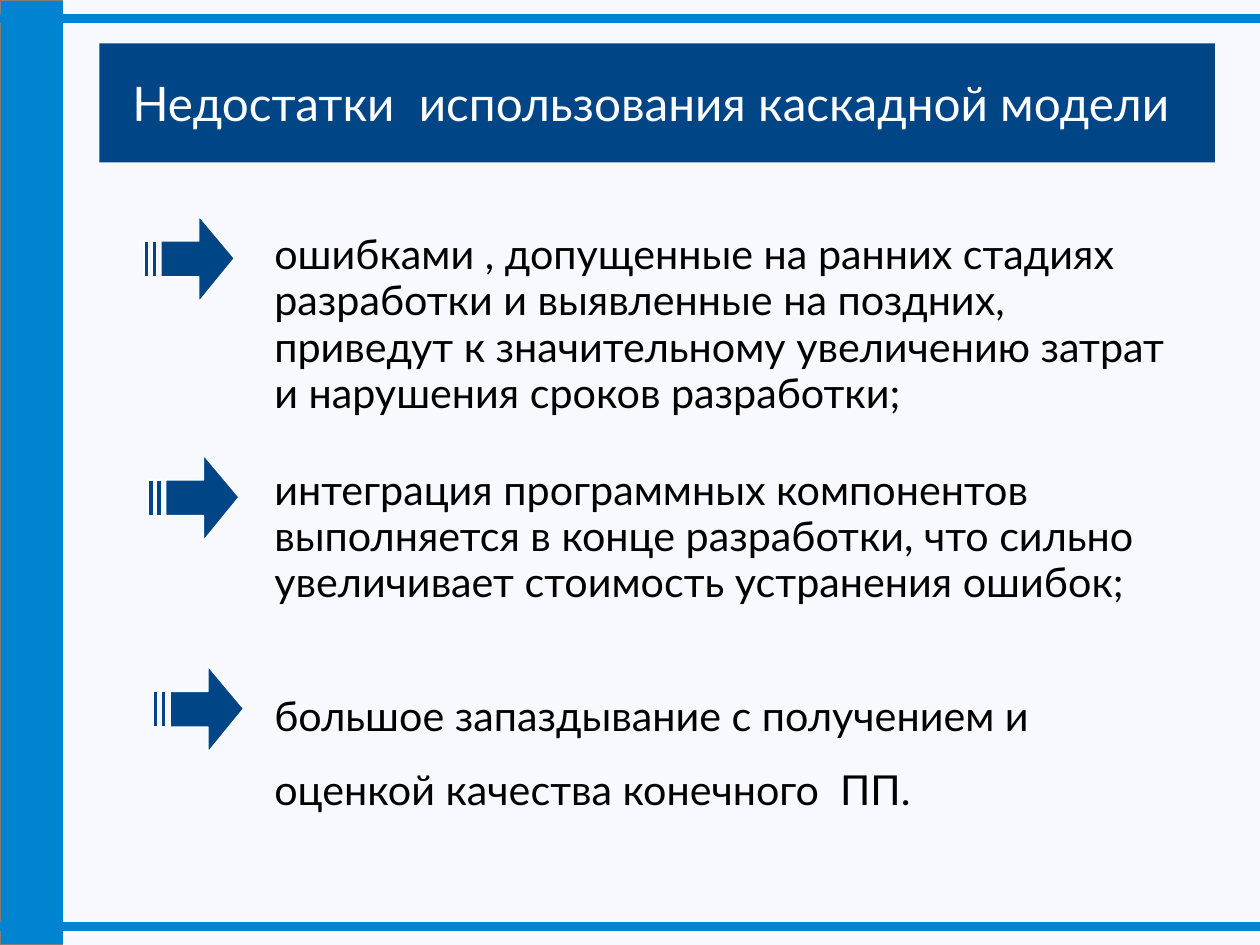
from dataclasses import dataclass

from lxml import etree
from pptx import Presentation
from pptx.dml.color import RGBColor
from pptx.enum.shapes import MSO_CONNECTOR
from pptx.enum.text import MSO_ANCHOR, MSO_AUTO_SIZE, PP_ALIGN
from pptx.oxml.ns import qn
from pptx.slide import Slide
from pptx.text.text import TextFrame
from pptx.util import Cm, Inches, Pt

STRAIGHT = MSO_CONNECTOR.STRAIGHT
TOP = MSO_ANCHOR.TOP
NO_AUTOFIT = MSO_AUTO_SIZE.NONE
CENTER = PP_ALIGN.CENTER

NAVY = RGBColor(0x00, 0x45, 0x86)
BLUE = RGBColor(0x00, 0x84, 0xD1)
GRAY = RGBColor(0x80, 0x80, 0x80)
WHITE = RGBColor(0xFF, 0xFF, 0xFF)
BLACK = RGBColor(0x00, 0x00, 0x00)
GHOST_WHITE = RGBColor(0xF8, 0xF8, 0xFF)

FONT = "Lato"
SLIDE_W, SLIDE_H = Cm(28), Cm(21)  # metric 4:3 page
BAR_W = 0.55
RULE_YS = (0.16, 8.11)

Point = tuple[float, float]


@dataclass(frozen=True)
class Drawback:
    text: str
    space_before: float
    line_spacing: float
    arrow_left: float
    arrow_top: float


DRAWBACKS = (
    Drawback("ошибками , допущенные на ранних стадиях разработки и выявленные "
             "на поздних, приведут к значительному увеличению затрат и "
             "нарушения сроков разработки;", 0, 0.93, 1.26, 1.89),
    Drawback("интеграция программных компонентов выполняется в конце "
             "разработки, что сильно увеличивает стоимость устранения ошибок;",
             32.5, 0.93, 1.30, 3.98),
    Drawback("большое запаздывание с получением и оценкой качества "
             "конечного  ПП.", 37, 1.5, 1.34, 5.83),
)


def stripe(left: float, right: float) -> list[Point]:
    return [(left, 0.22), (left, 0.53), (right, 0.53), (right, 0.22)]


ARROW = [
    [(0.48, 0), (0.79, 0.37), (0.48, 0.75), (0.48, 0.53),
     (0.15, 0.53), (0.15, 0.22), (0.48, 0.22)],
    stripe(0, 0.04),
    stripe(0.07, 0.11),
]
SIDE_BAR = [[(BAR_W, 0), (0, 0), (0, SLIDE_H.inches), (BAR_W, SLIDE_H.inches)]]


def add_outline(s: Slide, contours: list[list[Point]], left: float, top: float,
                fill: RGBColor, line: RGBColor, close: bool = True) -> None:
    """Draw contours, given in inches from (left, top), as one freeform."""
    placed = [[(Inches(left + x), Inches(top + y)) for x, y in contour]
              for contour in contours]
    builder = s.shapes.build_freeform(*placed[0][0], scale=1.0)
    for i, (start, *rest) in enumerate(placed):
        if i:
            builder.move_to(*start)
        builder.add_line_segments(rest, close=close)
    sp = builder.convert_to_shape()
    sp.shadow.inherit = False
    sp.fill.solid()
    sp.fill.fore_color.rgb = fill
    sp.line.color.rgb = line
    sp.line.width = Pt(0.75)


def add_rule(s: Slide, y: float) -> None:
    rule = s.shapes.add_connector(STRAIGHT, 0, Inches(y), SLIDE_W, Inches(y))
    rule.line.color.rgb = BLUE
    rule.line.width = Pt(5.67)
    etree.SubElement(rule._element.spPr, qn("a:effectLst"))


def set_frame(tf: TextFrame, left: float, top: float,
              right: float, bottom: float) -> None:
    tf.word_wrap = True
    tf.auto_size = NO_AUTOFIT
    tf.vertical_anchor = TOP
    tf.margin_left, tf.margin_top = Inches(left), Inches(top)
    tf.margin_right, tf.margin_bottom = Inches(right), Inches(bottom)


def add_title(s: Slide) -> None:
    sp = s.shapes.title
    sp.left, sp.top = Inches(0.87), Inches(0.38)
    sp.width, sp.height = Inches(9.76), Inches(1.04)
    sp.fill.solid()
    sp.fill.fore_color.rgb = NAVY
    set_frame(sp.text_frame, 0.03, 0.02, 0.03, 0.02)
    p = sp.text_frame.paragraphs[0]
    p.text = "Недостатки  использования каскадной модели "
    p.alignment = CENTER
    p.line_spacing = 1.5
    p.font.name, p.font.size = FONT, Pt(30)
    p.font.color.rgb = WHITE


def add_drawbacks(s: Slide) -> None:
    sp = s.shapes.add_textbox(Inches(2.4), Inches(1.51),
                              Inches(7.99), Inches(6.05))
    tf = sp.text_frame
    set_frame(tf, 0, 0.53, 0, 0)
    for i, drawback in enumerate(DRAWBACKS):
        p = tf.add_paragraph() if i else tf.paragraphs[0]
        p.text = drawback.text
        p.space_before = Pt(drawback.space_before)
        p.line_spacing = drawback.line_spacing
        p.font.name, p.font.size = FONT, Pt(26)
        p.font.color.rgb = BLACK
        add_outline(s, ARROW, drawback.arrow_left, drawback.arrow_top,
                    NAVY, WHITE)


def main() -> None:
    prs = Presentation()
    prs.slide_width, prs.slide_height = SLIDE_W, SLIDE_H
    s = prs.slides.add_slide(prs.slide_layouts.get_by_name("Title Only"))
    s.background.fill.solid()
    s.background.fill.fore_color.rgb = GHOST_WHITE
    add_title(s)
    add_drawbacks(s)
    add_outline(s, SIDE_BAR, 0, 0, BLUE, GRAY, close=False)
    for y in RULE_YS:
        add_rule(s, y)
    prs.save("out.pptx")


if __name__ == "__main__":
    main()
